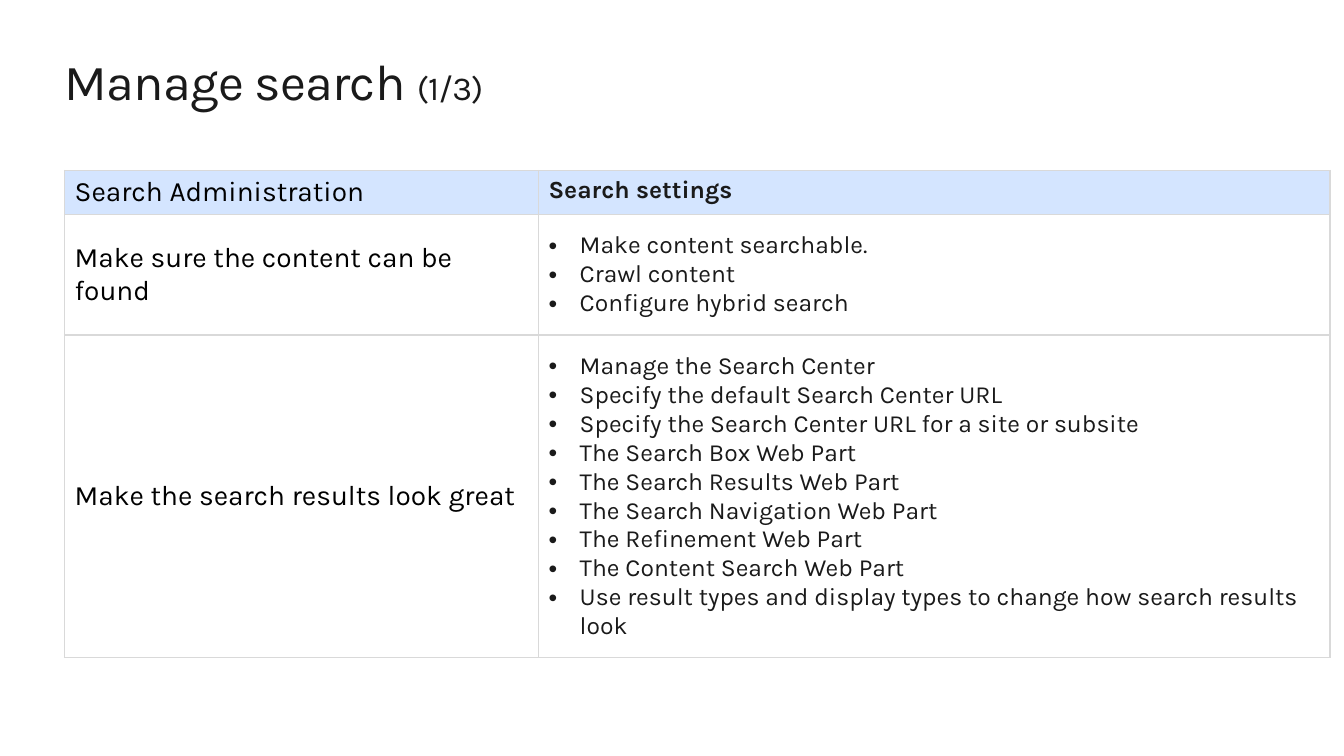
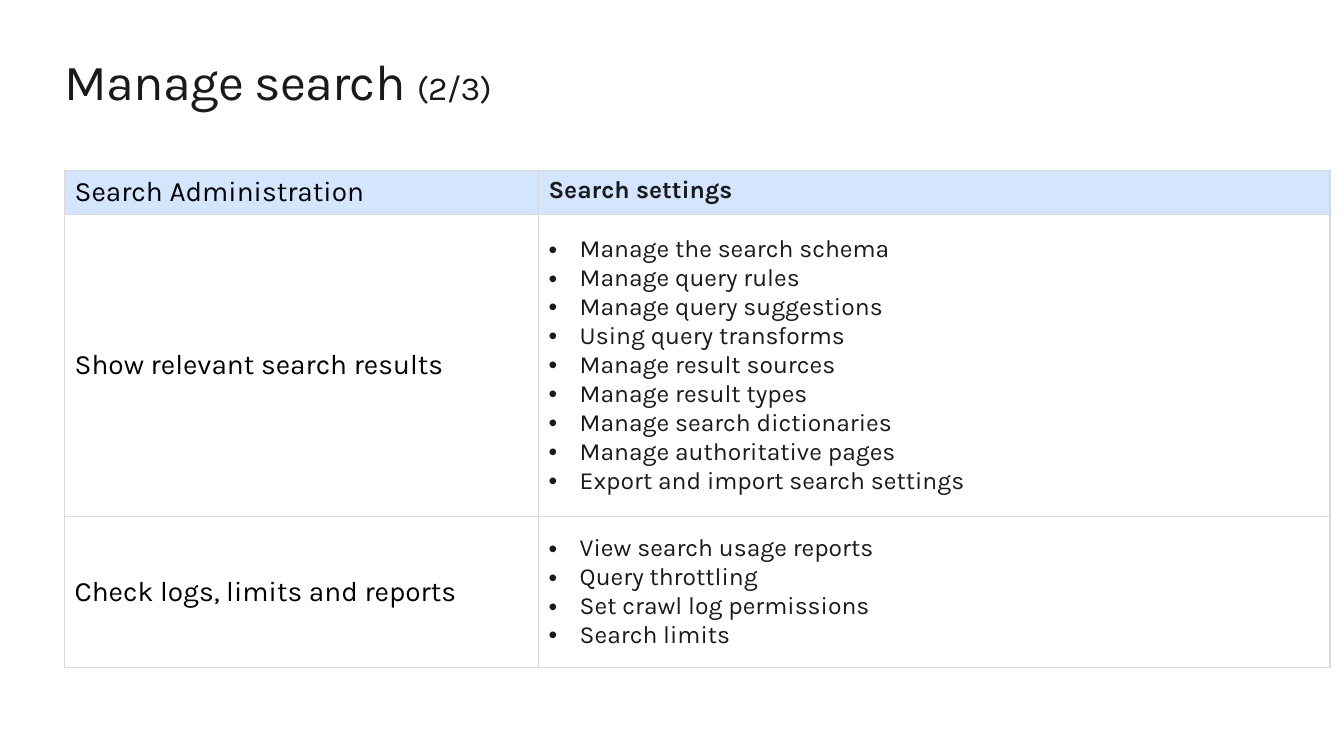
from dataclasses import dataclass

from lxml import etree
from pptx import Presentation
from pptx.dml.color import RGBColor
from pptx.enum import text as tx
from pptx.oxml import ns
from pptx.util import Inches, Pt


@dataclass(frozen=True)
class Theme:
    font: str = "Karla"
    ink: RGBColor = RGBColor(0x1A, 0x1A, 0x1A)
    black: RGBColor = RGBColor(0, 0, 0)
    band: RGBColor = RGBColor(0xD4, 0xE5, 0xFF)
    rule: str = "D9D9D9"
    title: float = 36
    count: float = 24
    label: float = 20
    item: float = 17.6


@dataclass(frozen=True)
class Topic:
    name: str
    height: float
    items: tuple[str, ...]


THEME = Theme()
LEFT = Inches(0.64)
COLS = (Inches(4.7), Inches(7.85))
HEAD = Inches(0.42)
INDENT = Inches(0.31)
TOTAL = 3

PAGES = (
    (
        Topic("Make sure the content can be found", 1.2, (
            "Make content searchable.",
            "Crawl content",
            "Configure hybrid search",
        )),
        Topic("Make the search results look great", 3.2, (
            "Manage the Search Center",
            "Specify the default Search Center URL",
            "Specify the Search Center URL for a site or subsite",
            "The Search Box Web Part",
            "The Search Results Web Part",
            "The Search Navigation Web Part",
            "The Refinement Web Part",
            "The Content Search Web Part",
            "Use result types and display types to change how search results look",
        )),
    ),
    (
        Topic("Show relevant search results", 3, (
            "Manage the search schema",
            "Manage query rules",
            "Manage query suggestions",
            "Using query transforms",
            "Manage result sources",
            "Manage result types",
            "Manage search dictionaries",
            "Manage authoritative pages",
            "Export and import search settings",
        )),
        Topic("Check logs, limits and reports", 1.5, (
            "View search usage reports",
            "Query throttling",
            "Set crawl log permissions",
            "Search limits",
        )),
    ),
)


def style(para, size: float, color: RGBColor, bold: bool = False) -> None:
    font = para.font
    font.name, font.size, font.bold = THEME.font, Pt(size), bold
    font.color.rgb = color


def add_bullet(para) -> None:
    props = para._p.get_or_add_pPr()
    props.set("marL", str(INDENT))
    props.set("indent", str(-INDENT))
    etree.SubElement(props, ns.qn("a:buFont"), typeface="Arial")
    etree.SubElement(props, ns.qn("a:buChar"), char="•")


def add_rules(cell) -> None:
    """Draw a thin line on all four sides of a cell."""
    props = cell._tc.get_or_add_tcPr()
    for n, side in enumerate(("lnL", "lnR", "lnT", "lnB")):
        line = etree.Element(ns.qn(f"a:{side}"), w=str(Pt(1)))
        fill = etree.SubElement(line, ns.qn("a:solidFill"))
        etree.SubElement(fill, ns.qn("a:srgbClr"), val=THEME.rule)
        props.insert(n, line)


def add_title(slide, page: int) -> None:
    title = slide.shapes.title
    title.left, title.top = LEFT, Inches(0.5)
    title.width, title.height = Inches(12.05), Inches(0.61)
    frame = title.text_frame
    frame.margin_left = frame.margin_right = 0
    frame.margin_top = frame.margin_bottom = 0
    frame.vertical_anchor = tx.MSO_ANCHOR.TOP
    frame.auto_size = tx.MSO_AUTO_SIZE.SHAPE_TO_FIT_TEXT
    para = frame.paragraphs[0]
    para.alignment = tx.PP_ALIGN.LEFT
    para.space_before = para.space_after = Pt(6)
    style(para, THEME.title, THEME.ink)
    parts = (("Manage search ", THEME.title), (f"({page}/{TOTAL})", THEME.count))
    for words, size in parts:
        run = para.add_run()
        run.text = words
        run.font.size = Pt(size)
        run._r.get_or_add_rPr().set("spc", "-50")


def fill_cell(cell, lines: tuple[str, ...], size: float, color: RGBColor,
              head: bool = False, bold: bool = False, bullets: bool = False) -> None:
    if head:
        cell.fill.solid()
        cell.fill.fore_color.rgb = THEME.band
    else:
        cell.fill.background()
        cell.vertical_anchor = tx.MSO_ANCHOR.MIDDLE
    add_rules(cell)
    frame = cell.text_frame
    for n, line in enumerate(lines):
        para = frame.add_paragraph() if n else frame.paragraphs[0]
        para.text = line
        if bullets:
            add_bullet(para)
        style(para, size, color, bold)


def add_topics(slide, topics: tuple[Topic, ...]) -> None:
    heights = [HEAD] + [Inches(topic.height) for topic in topics]
    table = slide.shapes.add_table(len(heights), len(COLS), LEFT, Inches(1.69),
                                   sum(COLS), sum(heights)).table
    table.first_row = table.horz_banding = False
    for col, width in zip(table.columns, COLS):
        col.width = width
    for row, height in zip(table.rows, heights):
        row.height = height

    # Header row
    fill_cell(table.cell(0, 0), ("Search Administration",),
              THEME.label, THEME.black, head=True)
    fill_cell(table.cell(0, 1), ("Search settings",),
              THEME.item, THEME.ink, head=True, bold=True)

    # One row for each topic
    for n, topic in enumerate(topics, 1):
        fill_cell(table.cell(n, 0), (topic.name,), THEME.label, THEME.black)
        fill_cell(table.cell(n, 1), topic.items, THEME.item, THEME.ink, bullets=True)


def main() -> None:
    deck = Presentation()
    deck.slide_width, deck.slide_height = Inches(13.33), Inches(7.5)
    layout = deck.slide_layouts.get_by_name("Title Only")
    for page, topics in enumerate(PAGES, 1):
        slide = deck.slides.add_slide(layout)
        add_title(slide, page)
        add_topics(slide, topics)
    deck.save("out.pptx")


if __name__ == "__main__":
    main()
